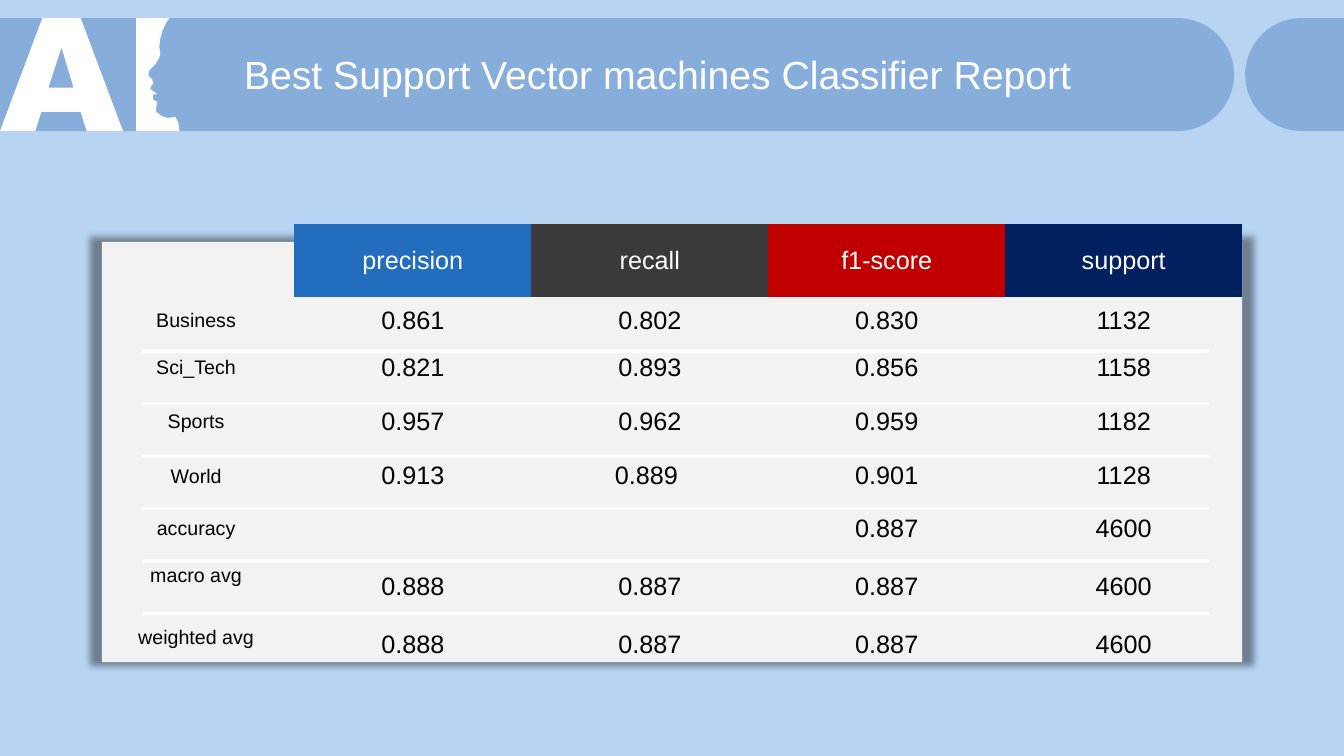
import math

import lxml.etree
import pptx
import pptx.dml.color
import pptx.enum.shapes
import pptx.enum.text
import pptx.oxml.ns
import pptx.util

RGBColor = pptx.dml.color.RGBColor
Inches = pptx.util.Inches
Pt = pptx.util.Pt
SHAPE = pptx.enum.shapes.MSO_SHAPE
ALIGN = pptx.enum.text.PP_ALIGN
MIDDLE = pptx.enum.text.MSO_ANCHOR.MIDDLE
qn = pptx.oxml.ns.qn

SKY = RGBColor(0xB7, 0xD4, 0xF2)
BAND = RGBColor(0x87, 0xAD, 0xDB)
PANEL = RGBColor(0xF2, 0xF2, 0xF2)
WHITE = RGBColor(0xFF, 0xFF, 0xFF)
BLACK = RGBColor(0x00, 0x00, 0x00)
BLUE = RGBColor(0x22, 0x6D, 0xBE)
CHARCOAL = RGBColor(0x3A, 0x3A, 0x3A)
RED = RGBColor(0xC0, 0x00, 0x00)
NAVY = RGBColor(0x00, 0x20, 0x60)

BAND_TOP, BAND_BOTTOM = 0.18, 1.3
SLIDE_WIDTH = 13.33
NO_STYLE_NO_GRID = "{2D5ABB26-0587-4C30-8999-92F81FD0307C}"

LETTER_A = [(0.42, 0.18), (0.8, 0.18), (1.22, 1.3), (0.86, 1.3), (0.8, 1.11),
            (0.41, 1.11), (0.35, 1.3), (0, 1.3)]
LETTER_A_HOLE = [(0.61, 0.47), (0.48, 0.87), (0.73, 0.87)]
FACE_PROFILE = [(1.35, 0.18), (1.68, 0.18), (1.64, 0.24), (1.61, 0.31), (1.59, 0.38),
                (1.58, 0.46), (1.59, 0.53), (1.58, 0.57), (1.54, 0.64), (1.51, 0.67),
                (1.48, 0.7), (1.47, 0.75), (1.51, 0.79), (1.52, 0.83), (1.5, 0.85),
                (1.49, 0.88), (1.51, 0.9), (1.56, 0.93), (1.52, 0.94), (1.52, 0.99),
                (1.56, 1.01), (1.55, 1.06), (1.55, 1.11), (1.6, 1.15), (1.66, 1.17),
                (1.74, 1.16), (1.77, 1.22), (1.78, 1.3), (1.35, 1.3)]

HEADERS = [("precision", BLUE), ("recall", CHARCOAL), ("f1-score", RED), ("support", NAVY)]
REPORT = [
    ("Business", "0.861", "0.802", "0.830", "1132"),
    ("Sci_Tech", "0.821", "0.893", "0.856", "1158"),
    ("Sports", "0.957", "0.962", "0.959", "1182"),
    ("World", "0.913", "0.889 ", "0.901", "1128"),
    ("accuracy", "", "", "0.887", "4600"),
    ("macro avg", "0.888", "0.887", "0.887", "4600"),
    ("weighted avg", "0.888", "0.887", "0.887", "4600"),
]
COLUMN_WIDTHS = [1.95] + [2.35] * 4
ROW_HEIGHTS = [0.73, 0.47, 0.45, 0.63, 0.45, 0.59, 0.56, 0.59]
RAISED_LABELS = {"macro avg": 0.27, "weighted avg": 0.19}


def half_round(end_x, direction):
    """Points of a semicircular band end whose tip is at end_x."""
    radius = (BAND_BOTTOM - BAND_TOP) / 2
    centre_x = end_x - direction * radius
    angles = [math.radians(a) for a in range(-90, 91, 3)]
    return [(centre_x + direction * radius * math.cos(a),
             BAND_TOP + radius + radius * math.sin(a)) for a in angles]


class ReportSlide:
    font_name = "Arial"

    def __init__(self, prs):
        self.s = prs.slides.add_slide(prs.slide_layouts[5])
        self.s.background.fill.solid()
        self.s.background.fill.fore_color.rgb = SKY

    def paint(self, sp, color):
        sp.fill.solid()
        sp.fill.fore_color.rgb = color
        sp.line.fill.background()
        sp.shadow.inherit = False
        return sp

    def add_text(self, p, text, size, color):
        r = p.add_run()
        r.text = text
        for name, value in {"name": self.font_name, "size": Pt(size), "bold": False}.items():
            setattr(r.font, name, value)
        r.font.color.rgb = color

    def outline(self, contours, color):
        contours = [[(Inches(x), Inches(y)) for x, y in points] for points in contours]
        builder = self.s.shapes.build_freeform(*contours[0][0])
        for i, points in enumerate(contours):
            if i:
                builder.move_to(*points[0])
            builder.add_line_segments(points[1:], close=True)
        return self.paint(builder.convert_to_shape(), color)

    def box(self, kind, left, top, width, height, color):
        sp = self.s.shapes.add_shape(kind, *map(Inches, (left, top, width, height)))
        return self.paint(sp, color)

    def glow(self, sp):
        """Give the shape a soft shadow slightly larger than itself."""
        effects = sp._element.spPr.find(qn("a:effectLst"))
        shadow = lxml.etree.SubElement(effects, qn("a:outerShdw"), blurRad="63500",
                                       sx="102000", sy="102000", algn="ctr", rotWithShape="0")
        color = lxml.etree.SubElement(shadow, qn("a:srgbClr"), val="000000")
        lxml.etree.SubElement(color, qn("a:alpha"), val="40000")

    def title(self, text, left, top, width, height):
        sp = self.s.shapes.title
        self.s.shapes._spTree.append(sp._element)  # bring in front of the band
        place = {"left": left, "top": top, "width": width, "height": height}
        for name, value in place.items():
            setattr(sp, name, Inches(value))
        tf = sp.text_frame
        frame = {"word_wrap": True, "vertical_anchor": MIDDLE,
                 "auto_size": pptx.enum.text.MSO_AUTO_SIZE.NONE}
        for name, value in frame.items():
            setattr(tf, name, value)
        p = tf.paragraphs[0]
        for name, value in {"alignment": ALIGN.LEFT, "line_spacing": 0.9}.items():
            setattr(p, name, value)
        self.add_text(p, text, 28, WHITE)

    def cell(self, cell, text, size, color, fill=None):
        if fill is None:
            cell.fill.background()
        else:
            cell.fill.solid()
            cell.fill.fore_color.rgb = fill
        cell.vertical_anchor = MIDDLE
        p = cell.text_frame.paragraphs[0]
        p.alignment = ALIGN.CENTER
        if text:
            self.add_text(p, text, size, color)

    def table(self, left, top):
        size = (sum(COLUMN_WIDTHS), sum(ROW_HEIGHTS))
        frame = self.s.shapes.add_table(len(ROW_HEIGHTS), len(COLUMN_WIDTHS),
                                        *map(Inches, (left, top, *size)))
        table = frame.table
        table.first_row = table.horz_banding = False
        table._tbl.tblPr.find(qn("a:tableStyleId")).text = NO_STYLE_NO_GRID
        for column, width in zip(table.columns, COLUMN_WIDTHS):
            column.width = Inches(width)
        for row, height in zip(table.rows, ROW_HEIGHTS):
            row.height = Inches(height)
        self.cell(table.cell(0, 0), "", 18, WHITE)
        for j, (text, fill) in enumerate(HEADERS, 1):
            self.cell(table.cell(0, j), text, 18, WHITE, fill)
        for i, values in enumerate(REPORT, 1):
            for j, text in enumerate(values):
                self.cell(table.cell(i, j), text, 18 if j else 14, BLACK)
            if values[0] in RAISED_LABELS:
                table.cell(i, 0).margin_bottom = Inches(RAISED_LABELS[values[0]])


def main():
    prs = pptx.Presentation()
    prs.slide_width, prs.slide_height = Inches(SLIDE_WIDTH), Inches(7.5)
    slide = ReportSlide(prs)

    slide.outline([[(0, BAND_TOP), *half_round(12.24, 1), (0, BAND_BOTTOM)]], BAND)
    slide.outline([LETTER_A, LETTER_A_HOLE, FACE_PROFILE], WHITE)
    slide.outline([[(SLIDE_WIDTH, BAND_TOP), *half_round(12.35, -1),
                    (SLIDE_WIDTH, BAND_BOTTOM)]], BAND)
    slide.title("Best Support Vector machines Classifier Report", 2.32, 0.37, 10.69, 0.79)

    slide.glow(slide.box(SHAPE.RECTANGLE, 1.01, 2.4, 11.31, 4.17, PANEL))
    for i in range(6):
        rule = slide.box(SHAPE.ROUNDED_RECTANGLE, 1.41, 3.47 + 0.52 * i, 10.58, 0.03, WHITE)
        rule.adjustments[0] = 0.5
    slide.table(0.97, 2.22)

    prs.save("out.pptx")


if __name__ == "__main__":
    main()
